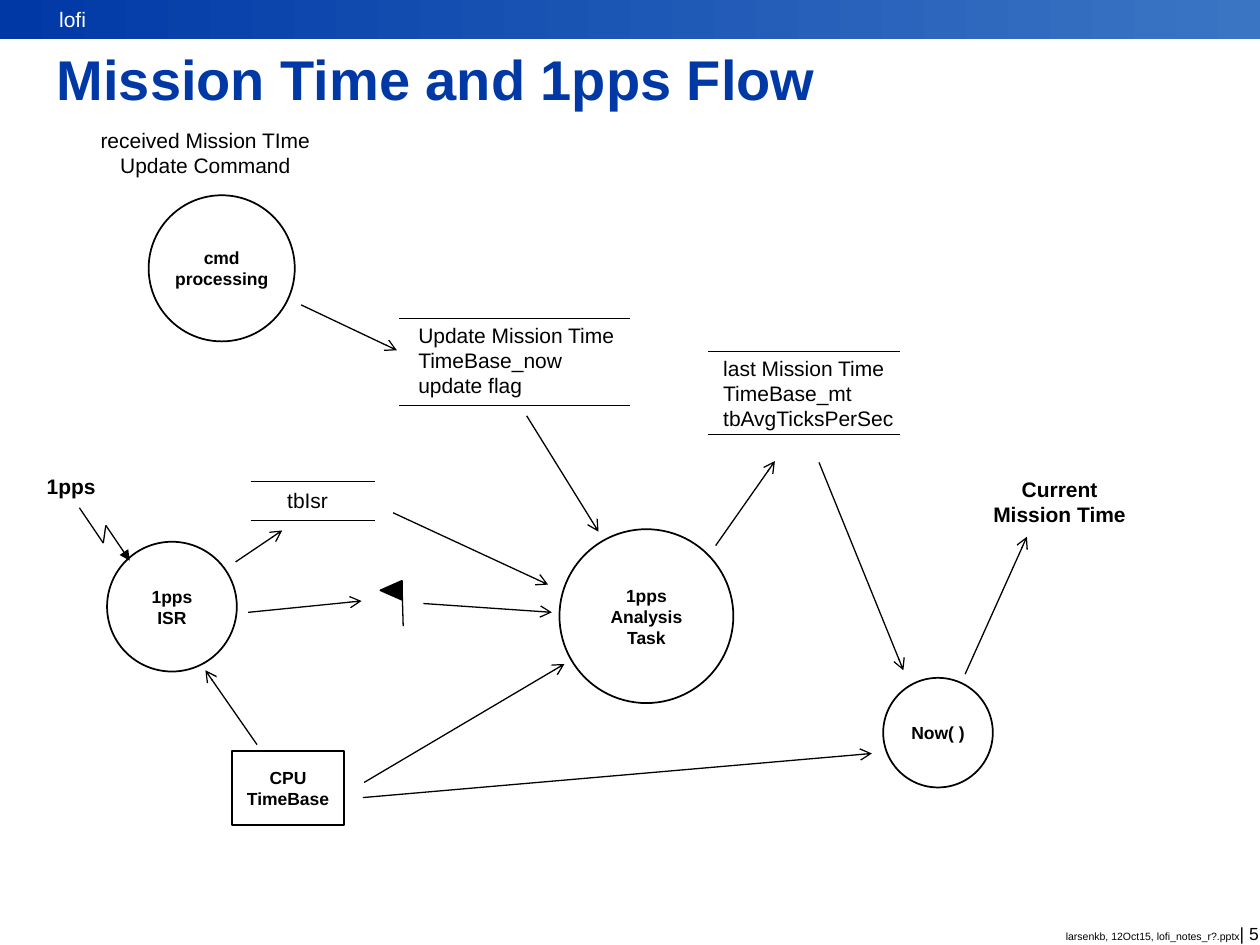
from dataclasses import dataclass
from itertools import pairwise

from lxml import etree
from pptx import Presentation, util as u
from pptx.dml.color import RGBColor
from pptx.enum import shapes, text
from pptx.oxml import ns

WIDTH, HEIGHT = u.Inches(10), u.Inches(7.5)
COLUMN, ROW = WIDTH / 100, HEIGHT / 75


@dataclass(frozen=True)
class Theme:
    """Colours, font and point sizes of the slide."""
    font: str = "Arial"
    ink: RGBColor = RGBColor(0, 0, 0)
    navy: RGBColor = RGBColor(0x00, 0x39, 0xA6)
    sky: RGBColor = RGBColor(0x3A, 0x75, 0xC4)
    white: RGBColor = RGBColor(255, 255, 255)
    title: int = 32
    label: int = 12
    node: int = 10
    footer: int = 6
    outline: float = 1
    rule: float = 0.75


THEME = Theme()
LEFT, CENTER, RIGHT = text.PP_ALIGN.LEFT, text.PP_ALIGN.CENTER, text.PP_ALIGN.RIGHT
OVAL = shapes.MSO_SHAPE.OVAL
RECTANGLE = shapes.MSO_SHAPE.RECTANGLE


def place(column, row):
    """Turn a grid position into slide units."""
    return round(column * COLUMN), round(row * ROW)


def write(shape, lines, size, bold=False, align=LEFT, color=THEME.ink,
          anchor=text.MSO_ANCHOR.TOP):
    """Fill a shape with one paragraph per line and no margins."""
    frame = shape.text_frame
    frame.word_wrap = False
    frame.vertical_anchor = anchor
    frame.margin_left = frame.margin_right = frame.margin_top = frame.margin_bottom = 0
    frame.text = "\n".join(lines)
    for paragraph in frame.paragraphs:
        paragraph.alignment = align
        font = paragraph.font
        font.name, font.size, font.bold = THEME.font, u.Pt(size), bold
        font.color.rgb = color
    return frame


def add_label(slide, box, lines, size=THEME.label, **style):
    """Add a text box."""
    shape = slide.shapes.add_textbox(*place(*box[:2]), *place(*box[2:]))
    return write(shape, lines, size, **style)


def add_outline(slide, kind, box):
    """Add an unfilled preset shape with a thin outline."""
    shape = slide.shapes.add_shape(kind, *place(*box[:2]), *place(*box[2:]))
    shape.shadow.inherit = False
    shape.fill.background()
    shape.line.color.rgb = THEME.ink
    shape.line.width = u.Pt(THEME.outline)
    return shape


def add_node(slide, kind, box, lines):
    """Add a process or source with a bold centred name."""
    write(add_outline(slide, kind, box), lines, THEME.node, bold=True,
          align=CENTER, anchor=text.MSO_ANCHOR.MIDDLE)


def add_line(slide, start, end, head=None):
    """Add a straight line, with an arrowhead at its end if one is named."""
    line = slide.shapes.add_connector(shapes.MSO_CONNECTOR.STRAIGHT,
                                      *place(*start), *place(*end))
    line.line.color.rgb = THEME.ink
    line.line.width = u.Pt(THEME.rule)
    properties = line._element.spPr
    if head:
        etree.SubElement(properties.find(ns.qn("a:ln")), ns.qn("a:tailEnd"), type=head)
    etree.SubElement(properties, ns.qn("a:effectLst"))


def add_store(slide, left, right, top, bottom, box, lines):
    """Add a data store: text between two horizontal rules."""
    for row in (top, bottom):
        add_line(slide, (left, row), (right, row))
    add_label(slide, box, lines)


def add_banner(slide):
    """Add the gradient band across the top."""
    band = add_outline(slide, RECTANGLE, (0, 0, 100, 3.1))
    band.line.fill.background()
    band.fill.gradient()
    band.fill.gradient_angle = 0
    for stop, position, color in zip(band.fill.gradient_stops, (0, 1),
                                     (THEME.navy, THEME.sky)):
        stop.position, stop.color.rgb = position, color
    frame = write(band, ["lofi"], THEME.label, color=THEME.white,
                  anchor=text.MSO_ANCHOR.MIDDLE)
    frame.margin_left = u.Inches(0.47)


def add_footer(slide):
    """Add the file note and the larger page number."""
    frame = add_label(slide, (80.5, 73.6, 19.4, 1.3),
                      ["larsenkb, 12Oct15, lofi_notes_r?.pptx"], THEME.footer,
                      align=RIGHT, anchor=text.MSO_ANCHOR.BOTTOM)
    frame.word_wrap = True
    number = frame.paragraphs[0].add_run()
    number.text = "| 5"
    number.font.size = u.Pt(THEME.node)


def add_signal(slide):
    """Add the zigzag arrow of the incoming pulse."""
    corners = [(6.3, 40.3), (8.2, 43.1), (8.4, 41.7), (10.3, 44.5)]
    for start, end in pairwise(corners):
        add_line(slide, start, end, "triangle" if end == corners[-1] else None)


def add_flag(slide):
    """Add the solid flag on its pole."""
    pennant = add_outline(slide, shapes.MSO_SHAPE.ISOSCELES_TRIANGLE,
                          (30.3, 46, 1.5, 1.7))
    pennant.rotation = 270
    pennant.fill.solid()
    pennant.fill.fore_color.rgb = THEME.ink
    add_line(slide, (31.9, 46.2), (32, 49.7))


def main():
    """Build and save the slide."""
    presentation = Presentation()
    presentation.slide_width, presentation.slide_height = WIDTH, HEIGHT
    slide = presentation.slides.add_slide(presentation.slide_layouts[6])

    add_banner(slide)
    add_footer(slide)
    title = add_label(slide, (4.5, 4.1, 90.8, 4.8), ["Mission Time and 1pps Flow"],
                      THEME.title, bold=True, color=THEME.navy)
    title.paragraphs[0].line_spacing = 0.9

    for kind, box, lines in [
        (OVAL, (11.8, 15.5, 11.6, 11.6), ["cmd", "processing"]),
        (OVAL, (8.5, 43, 10.3, 10.3), ["1pps", "ISR"]),
        (OVAL, (44.4, 42, 13.8, 13.8), ["1pps", "Analysis", "Task"]),
        (OVAL, (70.1, 53.8, 8.7, 8.7), ["Now( )"]),
        (RECTANGLE, (18.4, 59.6, 8.9, 5.9), ["CPU", "TimeBase"]),
    ]:
        add_node(slide, kind, box, lines)

    add_store(slide, 19.9, 29.8, 38.2, 41.3, (22.8, 38.7, 3.3, 2), ["tbIsr"])
    add_store(slide, 31.7, 50, 25.3, 32.2, (33.2, 25.6, 16, 6.1),
              ["Update Mission Time", "TimeBase_now", "update flag"])
    add_store(slide, 56.2, 71.4, 27.9, 34.5, (57.4, 28.2, 13.6, 6.1),
              ["last Mission Time", "TimeBase_mt", "tbAvgTicksPerSec"])

    add_label(slide, (7.9, 10.1, 16.8, 4),
              ["received Mission TIme", "Update Command"], align=CENTER)
    add_label(slide, (3.7, 37.6, 3.9, 2), ["1pps"], bold=True)
    add_label(slide, (78.8, 37.8, 10.6, 4), ["Current", "Mission Time"],
              bold=True, align=CENTER)

    add_signal(slide)
    add_flag(slide)
    for start, end in [
        ((23.9, 24.2), (31.5, 27.8)),
        ((41.8, 33), (47.5, 42.2)),
        ((18.7, 44.6), (22.4, 42.1)),
        ((19.7, 48.6), (28.7, 47.7)),
        ((33.6, 47.9), (43.8, 48.6)),
        ((31.2, 40.7), (43.5, 46.4)),
        ((20.4, 59.1), (16.3, 53.2)),
        ((28.9, 62.1), (44.8, 52.7)),
        ((28.8, 63.3), (69.2, 59.8)),
        ((56.8, 43.3), (61.5, 36.6)),
        ((65, 36.7), (71.7, 53.2)),
        ((76.6, 53.5), (81.5, 42.6)),
    ]:
        add_line(slide, start, end, "arrow")

    presentation.save("out.pptx")


main()
